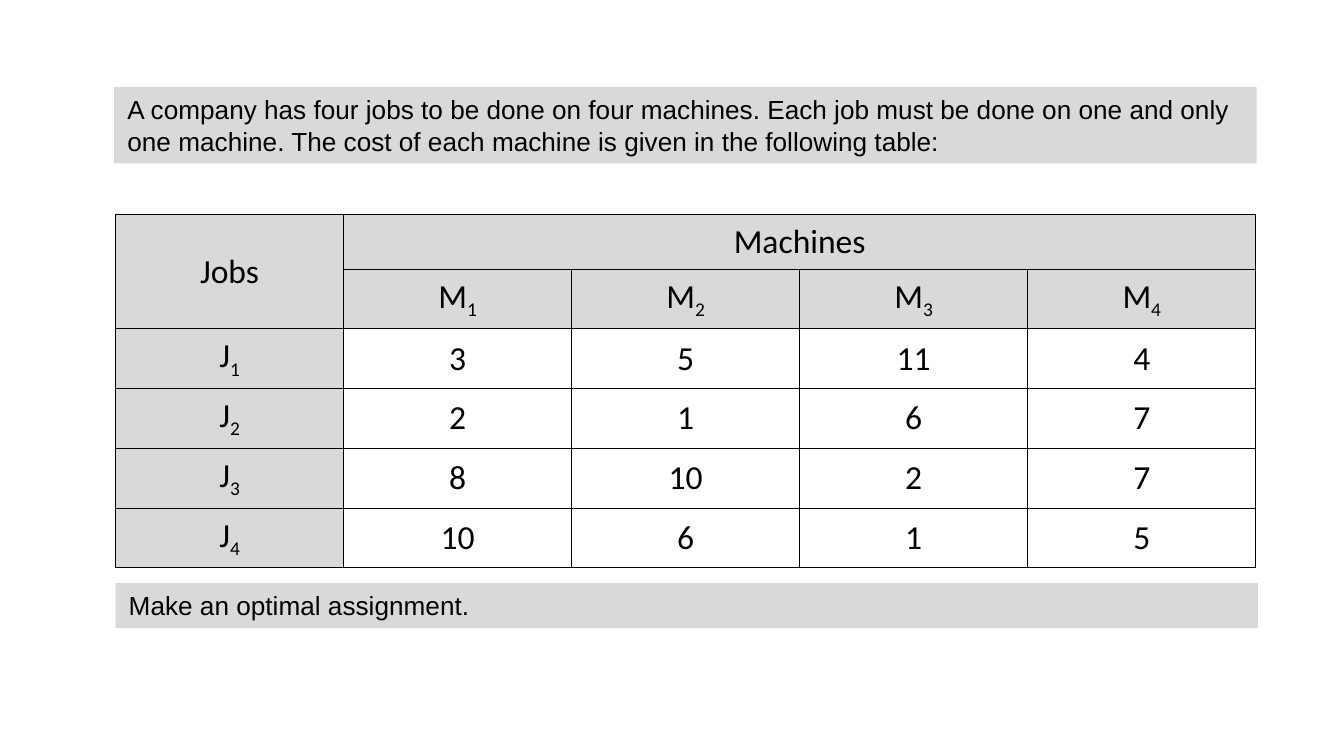
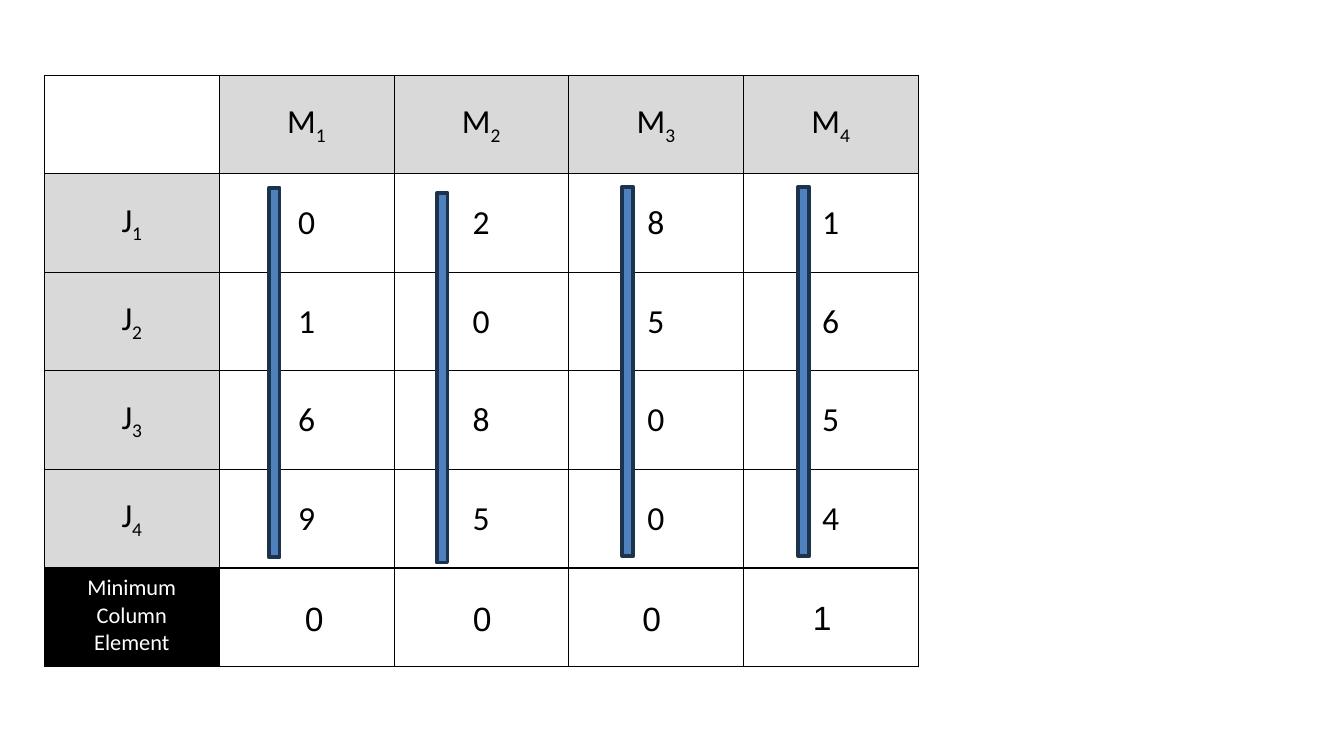
from lxml import etree
from pptx import Presentation
from pptx.dml.color import RGBColor
from pptx.enum import shapes, text
from pptx.oxml import ns
from pptx.util import Pt

BLACK = RGBColor(0x00, 0x00, 0x00)
WHITE = RGBColor(0xFF, 0xFF, 0xFF)
GREY = RGBColor(0xD9, 0xD9, 0xD9)
BLUE = RGBColor(0x4F, 0x81, 0xBD)
NAVY = RGBColor(0x1C, 0x33, 0x4E)

BODY_FONT = "Arial"
TABLE_FONT = "Calibri"
BORDER = 0.45
SUBSCRIPT = "-25000"

MACHINES = ["M_1", "M_2", "M_3", "M_4"]
JOBS = ["J_1", "J_2", "J_3", "J_4"]
COSTS = [[3, 5, 11, 4], [2, 1, 6, 7], [8, 10, 2, 7], [10, 6, 1, 5]]
REDUCED_COSTS = [[0, 2, 8, 1], [1, 0, 5, 6], [6, 8, 0, 5], [9, 5, 0, 4]]


def write(tf, content, font=BODY_FONT, size=18, color=BLACK, align=text.PP_ALIGN.LEFT):
    """Write one paragraph; what follows an underscore becomes a subscript."""
    p = tf.paragraphs[0]
    p.alignment = align
    for i, part in enumerate(str(content).split("_")):
        r = p.add_run()
        r.text = part
        r.font.name = font
        r.font.size = Pt(size)
        r.font.color.rgb = color
        if i:
            r.font._element.set("baseline", SUBSCRIPT)


def add_rect(s, left, top, width, height, fill, line=None):
    sp = s.shapes.add_shape(shapes.MSO_SHAPE.RECTANGLE,
                            Pt(left), Pt(top), Pt(width), Pt(height))
    sp.shadow.inherit = False
    sp.fill.solid()
    sp.fill.fore_color.rgb = fill
    if line is None:
        sp.line.fill.background()
    else:
        sp.line.color.rgb = line
        sp.line.width = Pt(2)
    return sp


def add_banner(s, left, top, height, content):
    tf = add_rect(s, left, top, 612, height, GREY).text_frame
    tf.word_wrap = True
    tf.vertical_anchor = text.MSO_ANCHOR.TOP
    write(tf, content, size=14)


def add_label(s, left, top, content):
    tf = s.shapes.add_textbox(Pt(left), Pt(top), Pt(24), Pt(29)).text_frame
    tf.word_wrap = True
    write(tf, content)


def set_borders(cell):
    tc_pr = cell._tc.get_or_add_tcPr()
    for i, side in enumerate(("lnL", "lnR", "lnT", "lnB")):
        ln = etree.Element(ns.qn("a:" + side), w=str(Pt(BORDER)))
        fill = etree.SubElement(ln, ns.qn("a:solidFill"))
        etree.SubElement(fill, ns.qn("a:srgbClr"), val=str(BLACK))
        tc_pr.insert(i, ln)


def format_cell(cell, content="", fill=None, anchor=text.MSO_ANCHOR.MIDDLE, **fmt):
    cell.vertical_anchor = anchor
    if fill is None:
        cell.fill.background()
    else:
        cell.fill.solid()
        cell.fill.fore_color.rgb = fill
    if content != "":
        write(cell.text_frame, content, font=TABLE_FONT,
              align=text.PP_ALIGN.CENTER, **fmt)
    set_borders(cell)


def add_grid(s, left, top, col_width, row_heights):
    cols = len(MACHINES) + 1
    frame = s.shapes.add_table(len(row_heights), cols, Pt(left), Pt(top),
                               Pt(col_width * cols), Pt(sum(row_heights)))
    table = frame.table
    table.first_row = table.horz_banding = False
    for col in table.columns:
        col.width = Pt(col_width)
    for row, height in zip(table.rows, row_heights):
        row.height = Pt(height)
    return table


def fill_costs(table, first_row, costs):
    """Machine names in the row above first_row, then one row for each job."""
    for c, machine in enumerate(MACHINES, 1):
        format_cell(table.cell(first_row - 1, c), machine, GREY)
    for r, (job, values) in enumerate(zip(JOBS, costs), first_row):
        format_cell(table.cell(r, 0), job, GREY)
        for c, value in enumerate(values, 1):
            format_cell(table.cell(r, c), value)


def build_problem(s):
    add_banner(s, 61.2, 46.6, 41,
               "A company has four jobs to be done on four machines. Each job must be "
               "done on one and only one machine. The cost of each machine is given "
               "in the following table:")

    # Cost table with a two-row header
    table = add_grid(s, 61.9, 115, 122.2, [28.8] + [32] * 5)
    fill_costs(table, 2, COSTS)
    format_cell(table.cell(0, 0), "Jobs", GREY)
    format_cell(table.cell(1, 0), fill=GREY)
    format_cell(table.cell(0, 1), "Machines", GREY)
    for c in range(2, 5):
        format_cell(table.cell(0, c), fill=GREY)
    table.cell(0, 0).merge(table.cell(1, 0))
    table.cell(0, 1).merge(table.cell(0, 4))

    add_banner(s, 61.9, 312.4, 24.2, "Make an optimal assignment.")


def build_column_reduction(s):
    left, top, col_width, row_height = 23.8, 40.3, 93.6, 52.8

    # Reduced costs
    table = add_grid(s, left, top, col_width, [row_height] * 5)
    fill_costs(table, 1, REDUCED_COSTS)
    format_cell(table.cell(0, 0))

    # Column minima
    minima = add_grid(s, left, top + 5 * row_height, col_width, [row_height])
    format_cell(minima.cell(0, 0), "Minimum Column Element", BLACK,
                anchor=text.MSO_ANCHOR.TOP, size=12, color=WHITE)
    for c in range(1, 5):
        format_cell(minima.cell(0, c))
    label_places = [(156.2, 317), (246.2, 317), (337, 317), (428.4, 316)]
    for (x, y), column in zip(label_places, zip(*REDUCED_COSTS)):
        add_label(s, x, y, min(column))

    # Bars down the machine columns
    for x, y in [(144, 100.6), (234, 103.4), (333.4, 100), (427.7, 100)]:
        add_rect(s, x, y, 5.8, 198, BLUE, NAVY)


def main():
    prs = Presentation()
    prs.slide_width, prs.slide_height = Pt(720), Pt(405)
    blank = prs.slide_layouts[6]
    for build in (build_problem, build_column_reduction):
        build(prs.slides.add_slide(blank))
    prs.save("out.pptx")


if __name__ == "__main__":
    main()
